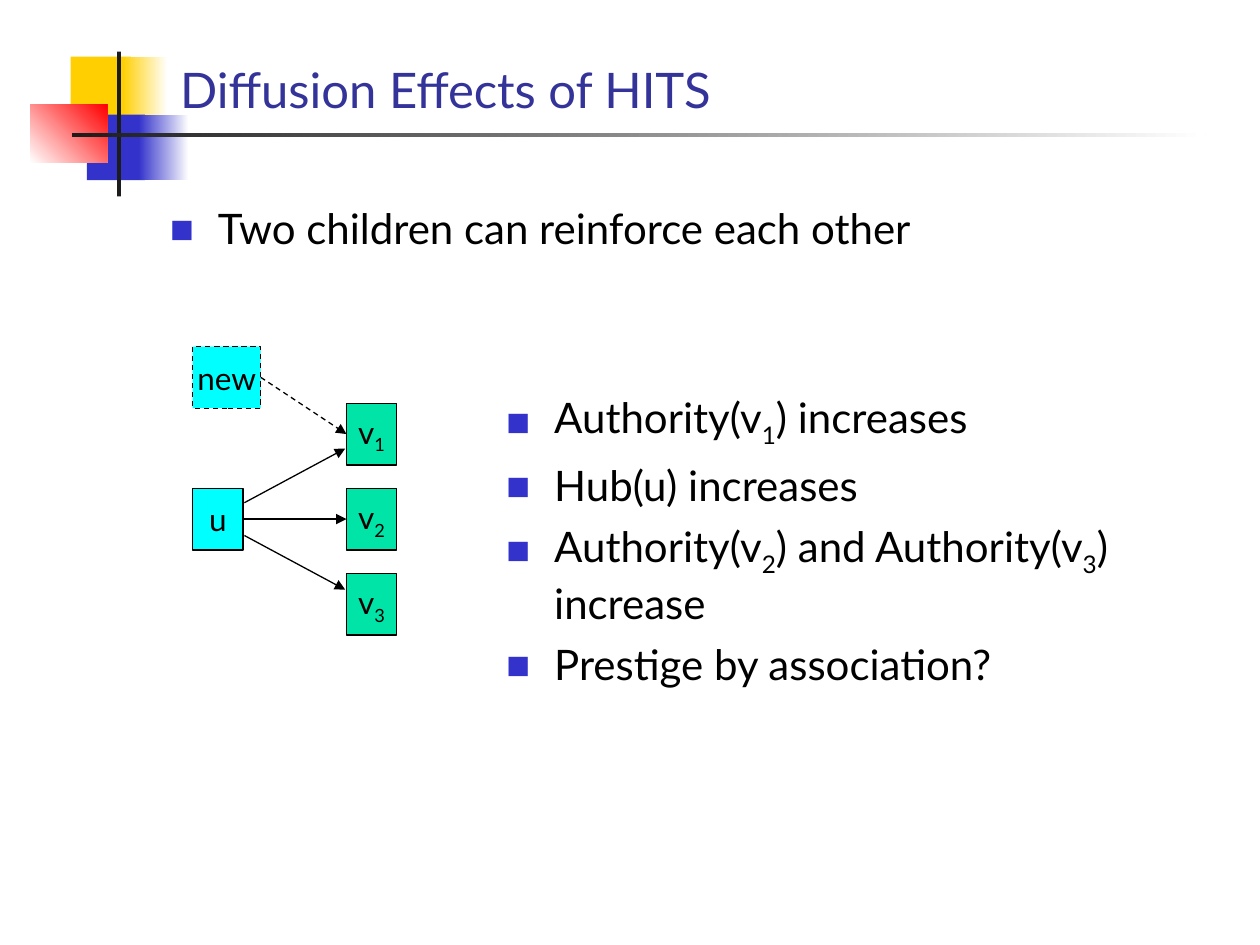
from lxml.etree import SubElement
from pptx import Presentation
from pptx.dml.color import RGBColor
from pptx.enum.dml import MSO_LINE
from pptx.enum.shapes import MSO_CONNECTOR, MSO_SHAPE
from pptx.enum.text import MSO_ANCHOR, MSO_AUTO_SIZE, PP_ALIGN
from pptx.oxml.ns import qn
from pptx.util import Inches, Pt

FONT = "Lato"
COLORS = {
    "yellow": "FFCF01", "blue": "3333CC", "red": "FF0000", "white": "FFFFFF",
    "dark": "1C1C1C", "title": "333399", "black": "000000",
    "cyan": "00FFFF", "green": "00E4A8",
}
NODE_WIDTH, NODE_HEIGHT, NODE_PITCH = 0.4, 0.49, 0.675


def color(name):
    return RGBColor.from_string(COLORS[name])


def add_rectangle(page, box, fill, fill_end=None, angle=0):
    shape = page.shapes.add_shape(MSO_SHAPE.RECTANGLE, *map(Inches, box))
    shape.shadow.inherit = False
    shape.line.fill.background()
    if fill_end:
        shape.fill.gradient()
        shape.fill.gradient_angle = angle
        for stop, name in zip(shape.fill.gradient_stops, (fill, fill_end)):
            stop.color.rgb = color(name)
    else:
        shape.fill.solid()
        shape.fill.fore_color.rgb = color(fill)
    return shape


def write(para, text, size, name="black"):
    for index, part in enumerate(text.split("_")):
        if part:
            span = para.add_run()
            span.text = part
            if index % 2:
                span.font._element.set("baseline", "-25000")
    para.font.name = FONT
    para.font.size = Pt(size)
    para.font.color.rgb = color(name)


def add_bullet(para):
    para.space_before = Pt(6)
    props = para._p.get_or_add_pPr()
    props.set("marL", str(Inches(0.38)))
    props.set("indent", str(-Inches(0.38)))
    bullet_color = SubElement(props, qn("a:buClr"))
    SubElement(bullet_color, qn("a:srgbClr"), val=COLORS["blue"])
    SubElement(props, qn("a:buSzPct"), val="60000")
    SubElement(props, qn("a:buFont"), typeface=FONT)
    SubElement(props, qn("a:buChar"), char="■")


def place(shape, box):
    shape.left, shape.top, shape.width, shape.height = map(Inches, box)
    frame = shape.text_frame
    frame.word_wrap = True
    frame.auto_size = MSO_AUTO_SIZE.NONE
    return frame


def fill_list(shape, box, items):
    frame = place(shape, box)
    frame.vertical_anchor = MSO_ANCHOR.TOP
    for index, item in enumerate(items):
        para = frame.add_paragraph() if index else frame.paragraphs[0]
        add_bullet(para)
        write(para, item, 24)


def fill_title(shape, box, text):
    frame = place(shape, box)
    frame.vertical_anchor = MSO_ANCHOR.BOTTOM
    frame.paragraphs[0].alignment = PP_ALIGN.LEFT
    write(frame.paragraphs[0], text, 28, "title")


def add_ornament(page, left, top):
    for x, y, width, height, *fill in (
        (0.32, 0.04, 0.48, 0.52, "yellow"),
        (0.73, 0.04, 0.36, 0.52, "yellow", "white"),
        (0.45, 0.5, 0.46, 0.52, "blue"),
        (0.86, 0.5, 0.4, 0.52, "blue", "white"),
        (0, 0.42, 0.61, 0.46, "white", "red", 45),
        (0.69, 0, 0.03, 1.15, "dark"),
        (0.33, 0.65, 9, 0.03, "dark", "white"),
    ):
        add_rectangle(page, (left + x, top + y, width, height), *fill)


def add_node(page, left, top, text, fill, width=NODE_WIDTH):
    node = add_rectangle(page, (left, top, width, NODE_HEIGHT), fill)
    node.line.color.rgb = color("black")
    node.line.width = Pt(0.75)
    frame = node.text_frame
    frame.word_wrap = False
    frame.vertical_anchor = MSO_ANCHOR.MIDDLE
    frame.paragraphs[0].alignment = PP_ALIGN.CENTER
    write(frame.paragraphs[0], text, 18)
    return node


def add_arrow(page, start=(0, 0), end=(0, 0)):
    arrow = page.shapes.add_connector(
        MSO_CONNECTOR.STRAIGHT, *map(Inches, (*start, *end)))
    arrow.line.color.rgb = color("black")
    arrow.line.width = Pt(0.75)
    SubElement(arrow.line._get_or_add_ln(), qn("a:tailEnd"), type="triangle")
    SubElement(arrow._element.spPr, qn("a:effectLst"))
    return arrow


def join(page, source, target):
    arrow = add_arrow(page)
    arrow.begin_connect(source, 3)
    arrow.end_connect(target, 1)
    return arrow


def add_graph(page, left, top):
    target_left, target_top = left + 1.22, top + 0.45
    hub_top = target_top + NODE_PITCH
    hub = add_node(page, left, hub_top, "u", "cyan")
    targets = [
        add_node(page, target_left, target_top + NODE_PITCH * row,
                 f"v_{row + 1}_", "green")
        for row in range(3)
    ]
    middle = hub_top + NODE_HEIGHT / 2
    for side in (-1, 1):
        add_arrow(page, (left + 0.41, middle + side * 0.13),
                  (target_left - 0.01, middle + side * 0.56))
    join(page, hub, targets[1])
    new = add_node(page, left, top, "new", "cyan", 0.54)
    for part in (new, join(page, new, targets[0])):
        part.line.dash_style = MSO_LINE.DASH


def main():
    deck = Presentation()
    deck.slide_width, deck.slide_height = Inches(10), Inches(7.5)
    page = deck.slides.add_slide(deck.slide_layouts[1])
    add_ornament(page, 0.24, 0.41)
    title, body = page.placeholders
    for holder in (title, body):
        page.shapes._spTree.append(holder._element)
    fill_title(title, (1.33, 0.4, 8.42, 0.59), "Diffusion Effects of HITS")
    fill_list(body, (1.25, 1.56, 8.5, 1.11),
              ["Two children can reinforce each other"])
    add_graph(page, 1.53, 2.75)
    effects = page.shapes.add_textbox(0, 0, 0, 0)
    fill_list(effects, (3.92, 3.06, 5.38, 2.48), [
        "Authority(v_1_) increases",
        "Hub(u) increases",
        "Authority(v_2_) and Authority(v_3_) increase",
        "Prestige by association?",
    ])
    deck.save("out.pptx")


if __name__ == "__main__":
    main()
